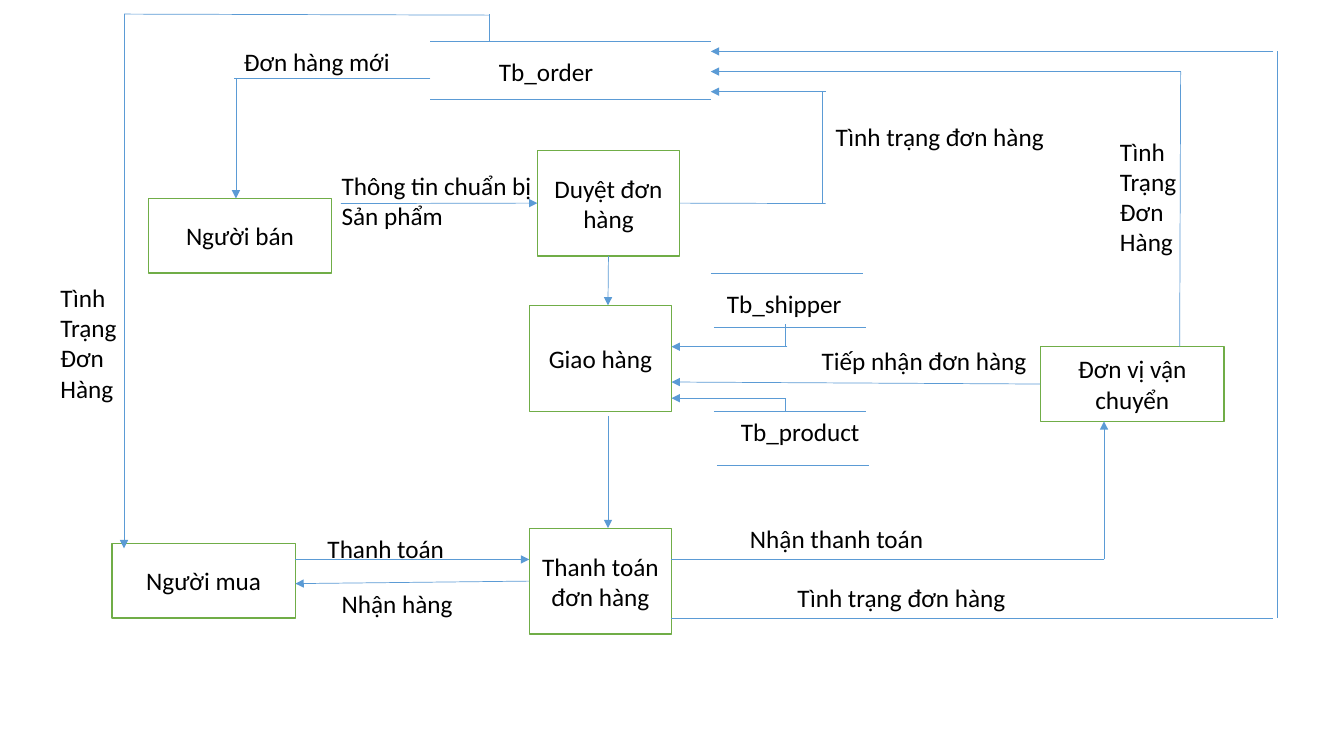
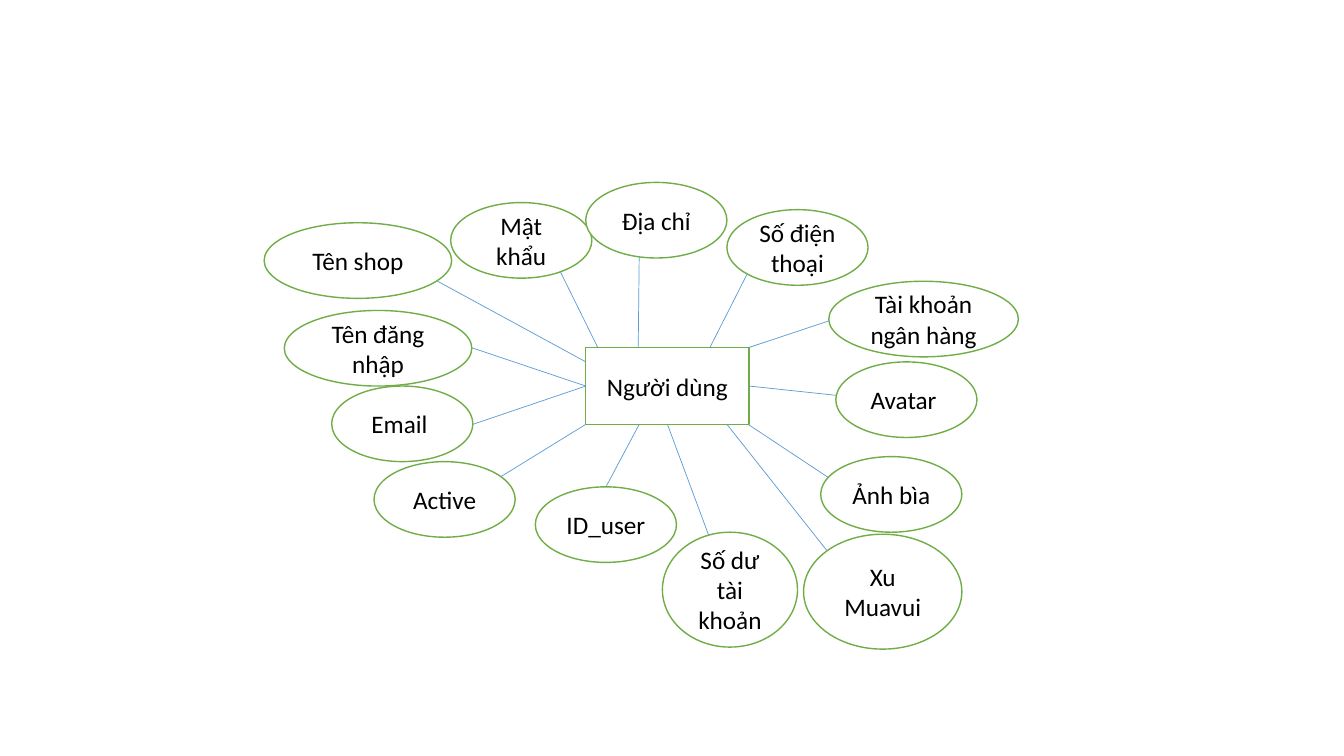
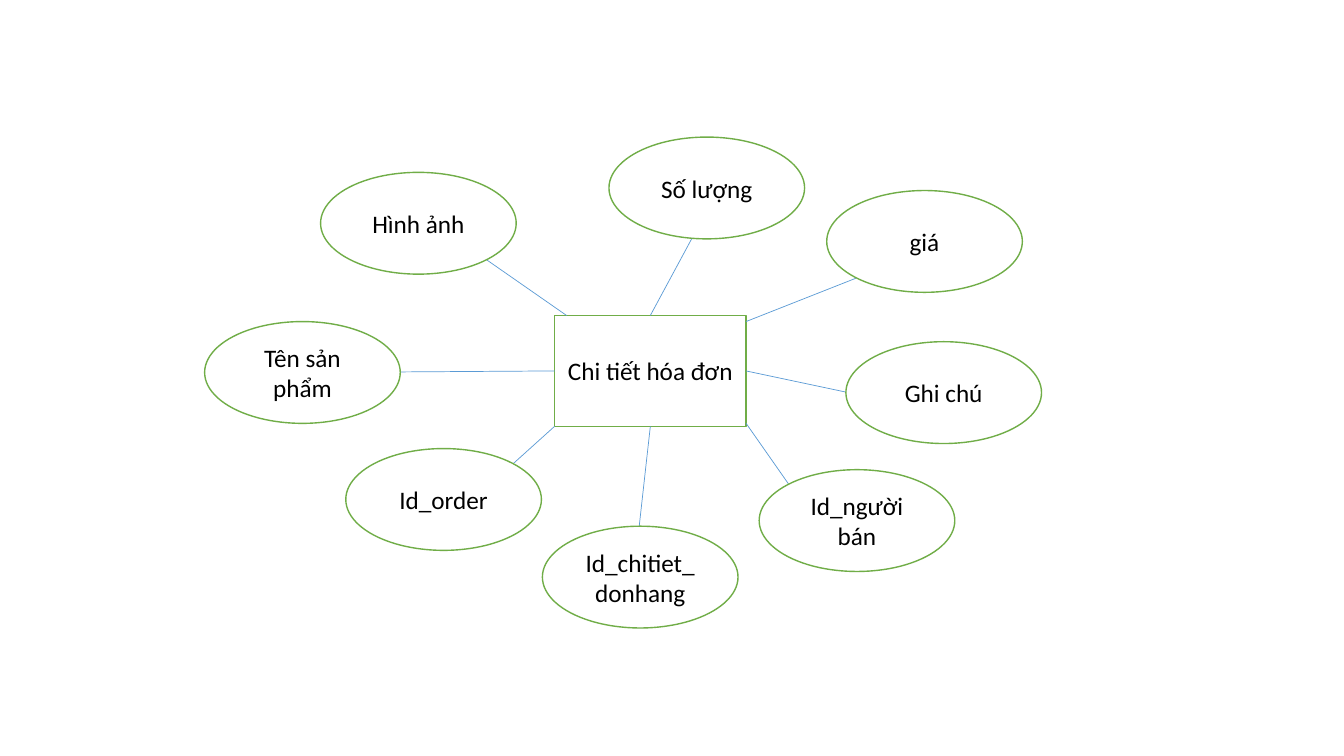
import dataclasses

import lxml.etree
import pptx
import pptx.dml.color
import pptx.enum.shapes
import pptx.enum.text
import pptx.oxml.ns
import pptx.util

COLORS = {"paper": "FFFFFF", "outline": "70AD47", "link": "5B9BD5", "text": "000000"}
FONT = "Calibri"
TEXT_SIZE = 18
LABEL_HEIGHT = 0.4
JOIN_TOLERANCE = 0.02
SHAPES = pptx.enum.shapes.MSO_SHAPE
CENTER = pptx.enum.text.PP_ALIGN.CENTER


@dataclasses.dataclass
class Box:
    left: float
    top: float
    width: float
    height: float

    def inner(self, left, top, width, height):
        return Box(self.left + left, self.top + top, width, height)

    def point(self, across, down):
        return self.left + across, self.top + down

    def lengths(self):
        return [pptx.util.Inches(value) for value in dataclasses.astuple(self)]

    def side_middles(self):
        middle, center = self.width / 2, self.height / 2
        return [
            self.point(middle, 0),
            self.point(0, center),
            self.point(middle, self.height),
            self.point(self.width, center),
        ]


def color(name):
    return pptx.dml.color.RGBColor.from_string(COLORS[name])


def write(frame, lines, align=None):
    for index, line in enumerate(lines):
        para = frame.paragraphs[0] if index == 0 else frame.add_paragraph()
        para.alignment = align
        span = para.add_run()
        span.text = line
        span.font.name = FONT
        span.font.size = pptx.util.Pt(TEXT_SIZE)
        span.font.color.rgb = color("text")


def add_node(page, kind, box, text):
    node = page.shapes.add_shape(kind, *box.lengths())
    node.shadow.inherit = False
    node.fill.solid()
    node.fill.fore_color.rgb = color("paper")
    node.line.color.rgb = color("outline")
    node.line.width = pptx.util.Pt(1)
    node.text_frame.word_wrap = True
    node.text_frame.vertical_anchor = pptx.enum.text.MSO_ANCHOR.MIDDLE
    write(node.text_frame, [text], CENTER)
    return node


def add_label(page, box, *lines):
    label = page.shapes.add_textbox(*box.lengths())
    label.text_frame.word_wrap = False
    label.text_frame.auto_size = pptx.enum.text.MSO_AUTO_SIZE.SHAPE_TO_FIT_TEXT
    write(label.text_frame, lines)


def join(connect, point, rectangles):
    for node, box in rectangles:
        for site, middle in enumerate(box.side_middles()):
            if all(abs(a - b) <= JOIN_TOLERANCE for a, b in zip(point, middle)):
                connect(node, site)
                return


def add_link(page, start, end, rectangles=(), arrow=False):
    ends = [pptx.util.Inches(value) for value in (*start, *end)]
    link = page.shapes.add_connector(pptx.enum.shapes.MSO_CONNECTOR.STRAIGHT, *ends)
    join(link.begin_connect, start, rectangles)
    join(link.end_connect, end, rectangles)
    link.line.color.rgb = color("link")
    link.line.width = pptx.util.Pt(0.5)
    qn = pptx.oxml.ns.qn
    properties = link.element.spPr
    if arrow:
        lxml.etree.SubElement(properties.find(qn("a:ln")), qn("a:tailEnd"), type="triangle")
    lxml.etree.SubElement(properties, qn("a:effectLst"))


def add_store(page, box, text, text_left, text_top, text_width, skew=0):
    for shift, down in ((0, 0), (skew, box.height)):
        add_link(page, box.point(shift, down), box.point(box.width + shift, down))
    add_label(page, box.inner(text_left, text_top, text_width, LABEL_HEIGHT), text)


def add_flow(page, box):
    actor, process = (1.82, 0.74), (1.41, 1.05)
    nodes = [
        ("Người bán", 1.47, 1.97, actor),
        ("Duyệt đơn hàng", 5.33, 1.49, process),
        ("Giao hàng", 5.25, 3.03, process),
        ("Đơn vị vận chuyển", 10.32, 3.44, actor),
        ("Thanh toán đơn hàng", 5.25, 5.24, process),
        ("Người mua", 1.11, 5.39, actor),
    ]
    rectangles = []
    for text, left, top, size in nodes:
        place = box.inner(left, top, *size)
        rectangles.append((add_node(page, SHAPES.RECTANGLE, place, text), place))

    add_store(page, box.inner(4.27, 0.41, 2.78, 0.58), "Tb_order", 0.58, 0.1, 1.15)
    add_store(page, box.inner(7.05, 2.71, 1.51, 0.54), "Tb_shipper", 0.06, 0.1, 1.35, 0.03)
    add_store(page, box.inner(7.08, 4.08, 1.51, 0.54), "Tb_product", 0.17, 0, 1.39, 0.03)

    lines = [
        (4.27, 0.78, 2.32, 0.78),
        (6.74, 2.02, 8.19, 2.02),
        (8.16, 2.02, 8.16, 0.91),
        (7.79, 4.08, 7.79, 3.95),
        (7.79, 3.44, 7.79, 3.21),
        (6.66, 6.13, 12.63, 6.13),
        (12.67, 6.13, 12.67, 0.51),
        (6.66, 5.55, 10.95, 5.55),
        (11.7, 3.44, 11.71, 0.71),
        (4.85, 0.41, 4.85, 0.14),
        (4.85, 0.15, 1.23, 0.14),
    ]
    arrows = [
        (2.34, 0.78, 2.34, 1.97),
        (3.38, 2.02, 5.33, 2.02),
        (8.19, 0.91, 7.05, 0.91),
        (7.81, 3.44, 6.66, 3.44),
        (7.79, 3.95, 6.66, 3.95),
        (6.03, 2.55, 6.03, 3.03),
        (6.03, 4.13, 6.03, 5.24),
        (10.32, 3.81, 6.66, 3.79),
        (5.25, 5.76, 2.93, 5.79),
        (12.63, 0.51, 7.05, 0.51),
        (2.93, 5.55, 5.25, 5.55),
        (10.95, 5.55, 10.95, 4.18),
        (11.71, 0.71, 7.05, 0.71),
        (1.23, 0.14, 1.23, 5.44),
    ]
    for group, arrow in ((lines, False), (arrows, True)):
        for x1, y1, x2, y2 in group:
            add_link(page, box.point(x1, y1), box.point(x2, y2), rectangles, arrow)

    labels = [
        ("Đơn hàng mới", 2.32, 0.41, 1.67),
        ("Tình trạng đơn hàng", 8.19, 1.15, 2.29),
        ("Tiếp nhận đơn hàng", 8.05, 3.38, 2.26),
        ("Tình trạng đơn hàng", 7.81, 5.73, 2.29),
        ("Nhận hàng", 3.29, 5.79, 1.32),
        ("Thanh toán", 3.15, 5.24, 1.37),
        ("Nhận thanh toán", 7.34, 5.14, 1.94),
    ]
    for text, left, top, width in labels:
        add_label(page, box.inner(left, top, width, LABEL_HEIGHT), text)
    add_label(page, box.inner(3.29, 1.64, 2.17, 0.71), "Thông tin chuẩn bị", "Sản phẩm")
    for left, top in ((11.01, 1.3), (0.5, 2.75)):
        add_label(page, box.inner(left, top, 0.82, 1.31), "Tình", "Trạng", "Đơn", "Hàng")


def add_entity(page, box, name, attributes):
    entity = add_node(page, SHAPES.RECTANGLE, box, name)
    for text, corner, size, start, end in attributes:
        add_link(page, box.point(*start), box.point(*end), [(entity, box)])
        add_node(page, SHAPES.OVAL, box.inner(*corner, *size), text)


def user_attributes():
    small, wide = (1.4, 0.75), (1.86, 0.75)
    return [
        ("ID_user", (-0.5, 1.38), small, (0.53, 0.76), (0.2, 1.38)),
        ("Email ", (-2.52, 0.38), small, (0, 0.38), (-1.12, 0.76)),
        ("Tên đăng nhập", (-2.99, -0.37), wide, (0, 0.38), (-1.13, 0)),
        ("Mật khẩu", (-1.34, -1.44), small, (0.12, 0), (-0.25, -0.75)),
        ("Địa chỉ", (0, -1.64), small, (0.52, 0), (0.53, -0.92)),
        ("Số điện thoại", (1.4, -1.37), small, (1.23, 0), (1.61, -0.75)),
        ("Tài khoản ngân hàng", (2.41, -0.66), (1.88, 0.75), (1.61, 0), (2.42, -0.27)),
        ("Avatar ", (2.48, 0.14), small, (1.61, 0.38), (2.56, 0.48)),
        ("Ảnh bìa", (2.33, 1.08), small, (1.61, 0.76), (2.41, 1.29)),
        ("Active", (-2.1, 1.13), small, (0, 0.76), (-0.86, 1.29)),
        ("Số dư tài khoản", (0.76, 1.83), (1.34, 1.14), (0.81, 0.76), (1.23, 1.89)),
        ("Tên shop", (-3.19, -1.24), wide, (0, 0.14), (-1.47, -0.66)),
        ("Xu Muavui", (2.16, 1.85), (1.57, 1.14), (1.4, 0.76), (2.39, 2.01)),
    ]


def invoice_attributes():
    size = (1.94, 1.01)
    return [
        ("Id_chitiet_donhang", (-0.12, 2.09), size, (0.95, 1.1), (0.84, 2.09)),
        ("Id_order", (-2.07, 1.32), size, (0, 1.1), (-0.41, 1.47)),
        ("Tên sản phẩm", (-3.47, 0.06), size, (0, 0.55), (-1.53, 0.56)),
        ("Hình ảnh", (-2.32, -1.42), size, (0.12, 0), (-0.67, -0.55)),
        ("Số lượng", (0.54, -1.77), size, (0.95, 0), (1.36, -0.76)),
        ("giá", (2.7, -1.24), size, (1.9, 0.06), (2.99, -0.37)),
        ("Ghi chú", (2.89, 0.26), size, (1.9, 0.55), (2.89, 0.76)),
        ("Id_người bán", (2.03, 1.53), size, (1.9, 1.07), (2.32, 1.67)),
    ]


def main():
    deck = pptx.Presentation()
    sheet = Box(0, 0, 13.33, 7.5)
    deck.slide_width = pptx.util.Inches(sheet.width)
    deck.slide_height = pptx.util.Inches(sheet.height)
    blank = deck.slide_layouts[6]
    flow, user, invoice = [deck.slides.add_slide(blank) for _ in range(3)]
    add_flow(flow, sheet)
    add_entity(user, Box(5.81, 3.45, 1.62, 0.76), "Người dùng", user_attributes())
    add_entity(invoice, Box(5.5, 3.13, 1.9, 1.1), "Chi tiết hóa đơn", invoice_attributes())
    deck.save("out.pptx")


if __name__ == "__main__":
    main()
